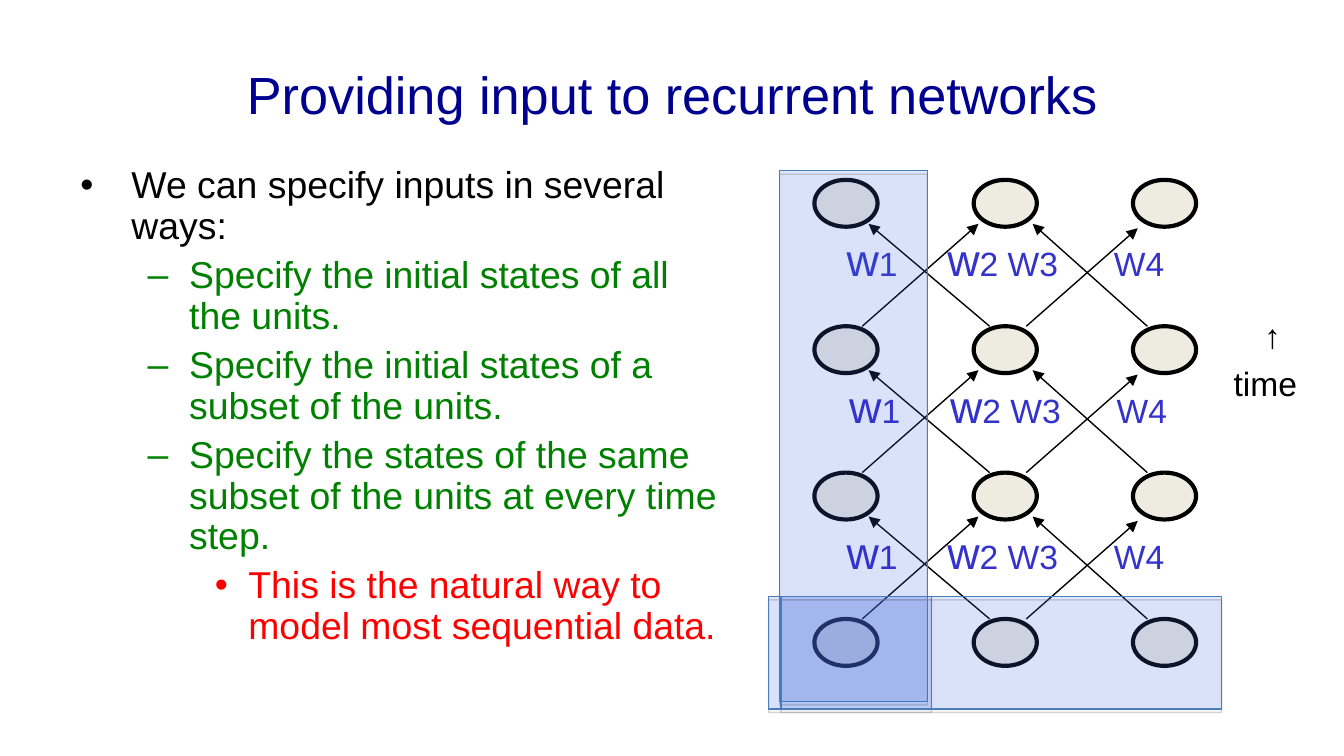
from lxml import etree
from pptx import Presentation
from pptx import util as u
from pptx.dml.color import RGBColor
from pptx.enum import shapes, text
from pptx.oxml import ns

NAVY = RGBColor(0x00, 0x00, 0x90)
BLACK = RGBColor(0x00, 0x00, 0x00)
GREEN = RGBColor(0x00, 0x80, 0x00)
RED = RGBColor(0xFF, 0x00, 0x00)
IVORY = RGBColor(0xEE, 0xEC, 0xE1)
INDIGO = RGBColor(0x33, 0x33, 0xCC)
BLUE = RGBColor(0x33, 0x66, 0xFF)
STEEL = RGBColor(0x4A, 0x7E, 0xBB)
GRAY = RGBColor(0x80, 0x80, 0x80)

FONT = "Arial"
WIDTH = u.Inches(10)
HEIGHT = WIDTH * 9 // 16

# Network grid, in percent of the slide
LEFT, TOP = 60.6, 23.8
COL, ROW = 11.85, 19.36
UNIT = (4.7, 6.2)
ROWS, COLS = 4, 3

# Arrows between two time steps: start column, end column, rise in rows
ARROWS = [(0.3, 1.03, 0.7), (2.09, 1.37, 0.7), (1.1, 0.34, 0.7), (1.33, 2.03, 0.67)]

# Bullet levels: character, colour, left margin and hanging indent in inches
LEVELS = [("•", BLACK, 0.38, 0.38), ("–", GREEN, 0.81, 0.31), ("•", RED, 1.25, 0.25)]
POINTS = [
    (0, "We can specify inputs in several ways:"),
    (1, "Specify the initial states of all the units."),
    (1, "Specify the initial states of a subset of the units."),
    (1, "Specify the states of the same subset of the units at every time step."),
    (2, "This is the natural way to model most sequential data."),
]
WEIGHTS = [("w", 24), ("1\t", 18), ("w", 24), ("2 W3\t", 18), ("W4", 18)]
INPUT_BOXES = [(58, 22.6, 11, 70.2), (58.1, 78.9, 32.8, 14.9), (57.2, 78.9, 12.1, 14.9)]


def across(percent):
    return round(WIDTH * percent / 100)


def down(percent):
    return round(HEIGHT * percent / 100)


def place(left, top, width, height):
    """Turn percentages of the slide into a position and size."""
    return across(left), down(top), across(width), down(height)


def add_xml(parent, tag, **attributes):
    return etree.SubElement(parent, ns.qn(tag), attributes)


def add_run(p, words, size, color):
    r = p.add_run()
    r.text = words
    r.font.name, r.font.size = FONT, u.Pt(size)
    r.font.color.rgb = color


def add_box(s, area):
    tf = s.shapes.add_textbox(*place(*area)).text_frame
    tf.word_wrap = True
    return tf


def add_title(s):
    tf = add_box(s, (5, 4.1, 90, 16.7))
    tf.vertical_anchor = text.MSO_ANCHOR.MIDDLE
    p = tf.paragraphs[0]
    p.alignment = text.PP_ALIGN.CENTER
    add_run(p, "Providing input to recurrent networks", 28, NAVY)


def add_bullets(s):
    tf = add_box(s, (5, 21.16, 49.7, 73.4))
    for i, (level, words) in enumerate(POINTS):
        mark, color, margin, hang = LEVELS[level]
        p = tf.add_paragraph() if i else tf.paragraphs[0]
        p.level = level
        pPr = p._p.get_or_add_pPr()
        pPr.set("marL", str(u.Inches(margin)))
        pPr.set("indent", str(-u.Inches(hang)))
        add_xml(add_xml(pPr, "a:buClr"), "a:srgbClr", val=str(color))
        add_xml(pPr, "a:buFont", typeface=FONT)
        add_xml(pPr, "a:buChar", char=mark)
        p.line_spacing = 0.9
        if i:
            p.space_before = u.Pt(5)
        add_run(p, words, 20, color)


def add_unit(s, col, row):
    area = place(LEFT + col * COL, TOP + row * ROW, *UNIT)
    sp = s.shapes.add_shape(shapes.MSO_SHAPE.OVAL, *area)
    sp.shadow.inherit = False
    sp.fill.solid()
    sp.fill.fore_color.rgb = IVORY
    sp.line.color.rgb, sp.line.width = BLACK, u.Pt(2.25)


def add_arrow(s, row, start, end, rise):
    """Draw an arrow from the top of a row of units up to the row above."""
    sp = s.shapes.add_connector(
        shapes.MSO_CONNECTOR.STRAIGHT,
        across(LEFT + start * COL), down(TOP + row * ROW),
        across(LEFT + end * COL), down(TOP + (row - rise) * ROW))
    sp.line.color.rgb, sp.line.width = BLACK, u.Pt(0.75)
    add_xml(sp.line._get_or_add_ln(), "a:tailEnd", type="triangle")
    add_xml(sp._element.spPr, "a:effectLst")


def add_network(s):
    for row in reversed(range(ROWS)):
        for col in range(COLS):
            add_unit(s, col, row)
        if row:
            for arrow in ARROWS:
                add_arrow(s, row, *arrow)


def add_weights(s, row):
    nudge = 0.2 if row == 1 else 0
    tf = add_box(s, (62 + nudge, 29.8 + row * ROW, 30.2, 8.9))
    p = tf.paragraphs[0]
    tabs = add_xml(p._p.get_or_add_pPr(), "a:tabLst")
    for stop in (0.75, 1.99):
        add_xml(tabs, "a:tab", pos=str(u.Inches(stop)), algn="l")
    for words, size in WEIGHTS:
        add_run(p, words, size, INDIGO)


def add_input_box(s, area):
    """Add a translucent box with a thin shadow around units that get input."""
    sp = s.shapes.add_shape(shapes.MSO_SHAPE.RECTANGLE, *place(*area))
    sp.shadow.inherit = False
    sp.fill.solid()
    sp.fill.fore_color.rgb = BLUE
    sp.line.color.rgb, sp.line.width = STEEL, u.Pt(0.75)
    spPr = sp._element.spPr
    fill = spPr.find(ns.qn("a:solidFill")).find(ns.qn("a:srgbClr"))
    add_xml(fill, "a:alpha", val="15000")
    shadow = add_xml(spPr.find(ns.qn("a:effectLst")), "a:outerShdw", blurRad="0",
                     dist=str(u.Pt(1.8)), dir="5400000", rotWithShape="0")
    add_xml(add_xml(shadow, "a:srgbClr", val=str(GRAY)), "a:alpha", val="35000")


def add_time_axis(s):
    tf = add_box(s, (90.8, 47.1, 8.1, 7.1))
    add_run(tf.paragraphs[0], "time", 18, BLACK)
    sp = s.shapes.add_textbox(*place(88.9, 36.1, 10.4, 7.1))
    sp.rotation = 270
    sp.text_frame.word_wrap = True
    add_run(sp.text_frame.paragraphs[0], "→", 18, BLACK)


def main():
    prs = Presentation()
    prs.slide_width, prs.slide_height = WIDTH, HEIGHT
    s = prs.slides.add_slide(prs.slide_layouts[6])
    add_title(s)
    add_bullets(s)
    add_network(s)
    add_weights(s, 0)
    for area in INPUT_BOXES:
        add_input_box(s, area)
    add_time_axis(s)
    for row in (1, 2):
        add_weights(s, row)
    prs.save("out.pptx")


if __name__ == "__main__":
    main()
